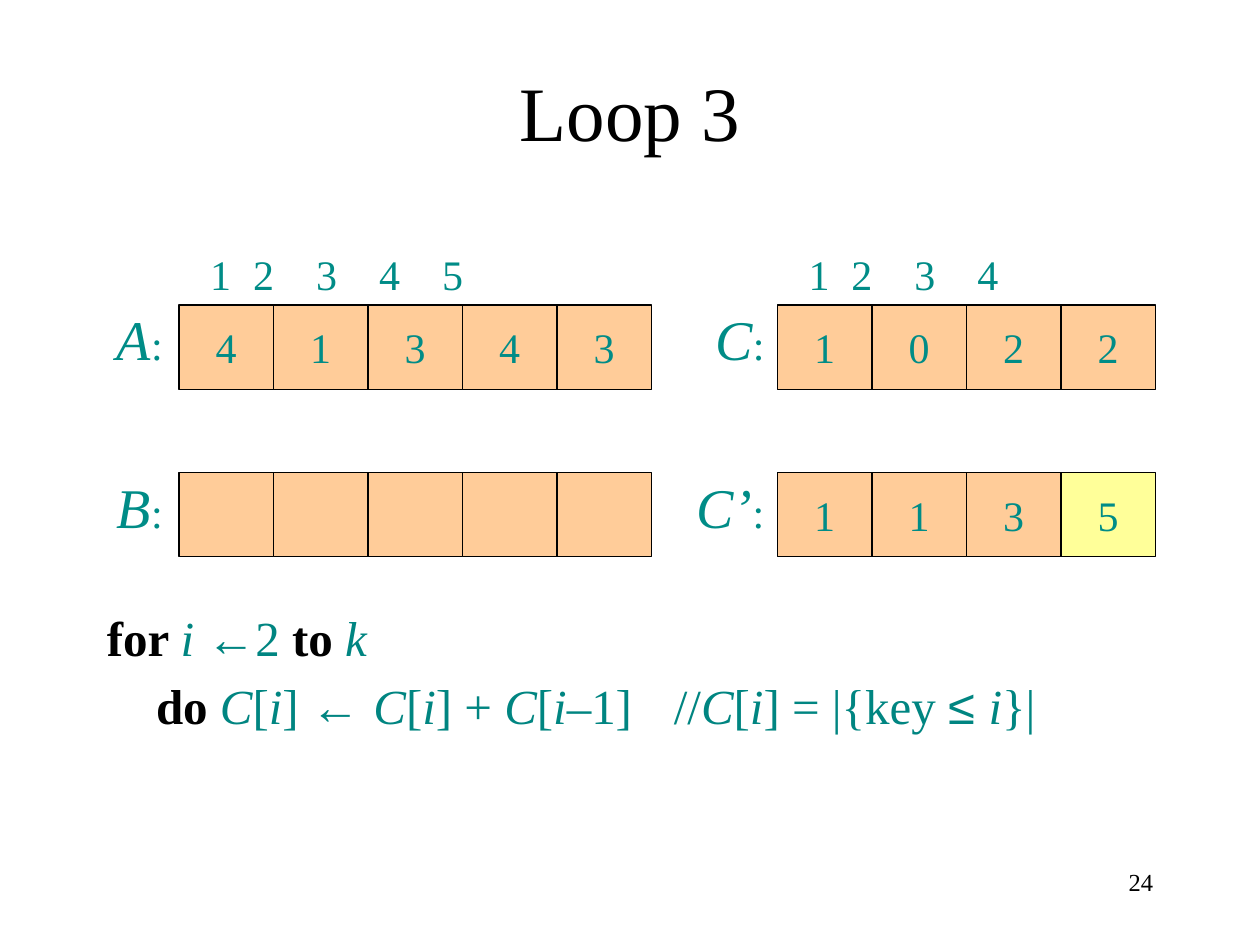
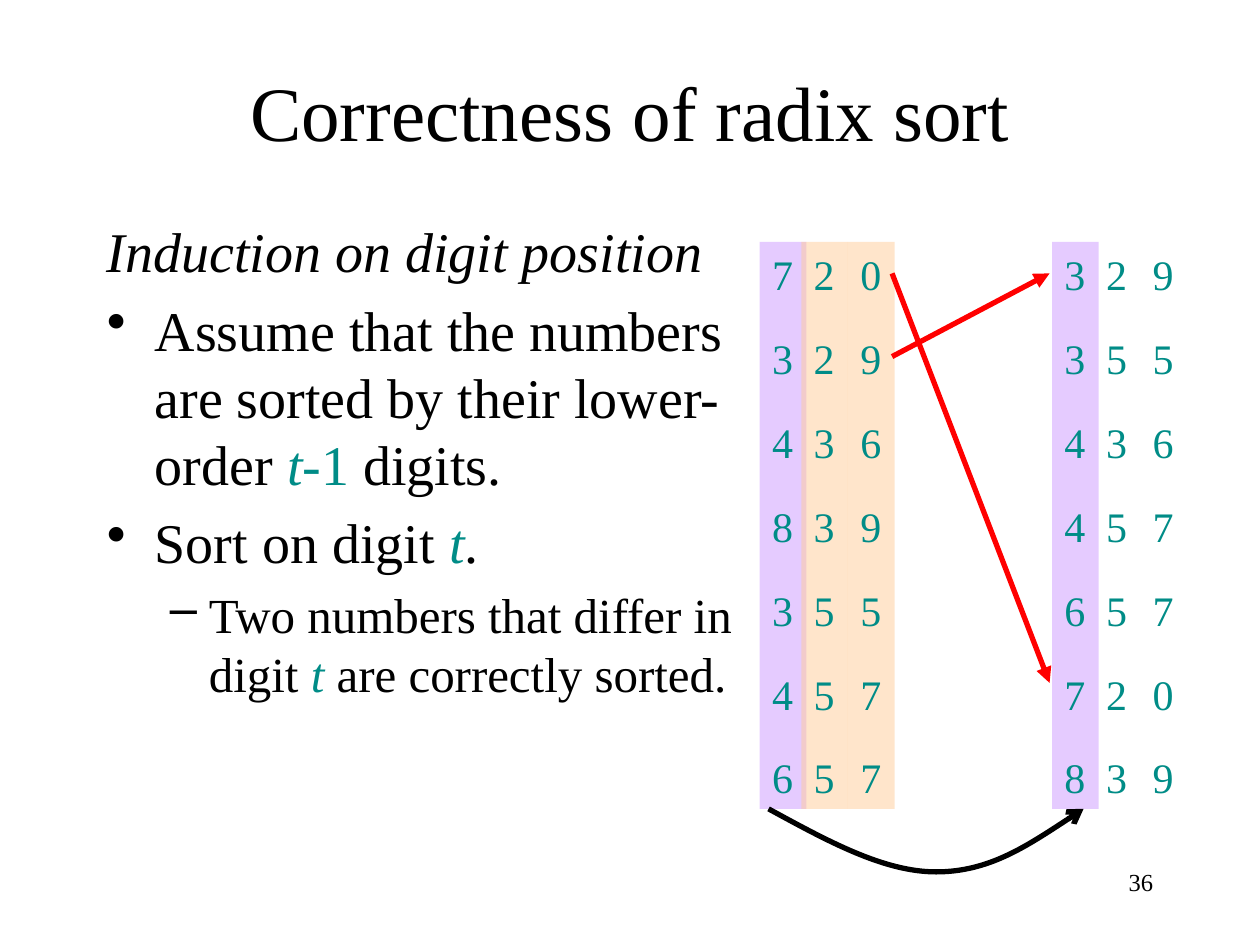
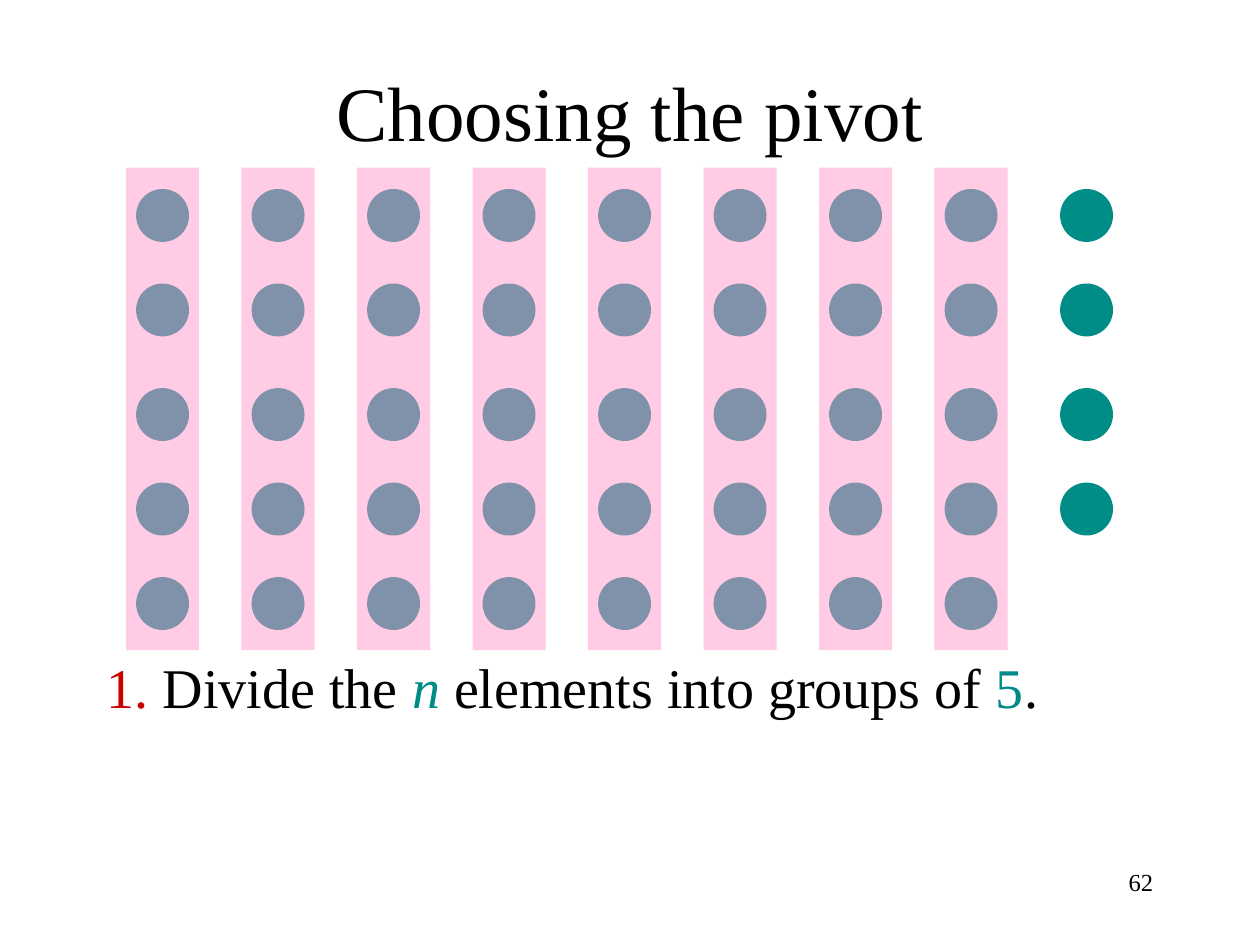
"""Build three lecture slides on counting sort, radix sort and pivot choice."""
from lxml.etree import SubElement
from pptx import Presentation
from pptx.dml.color import RGBColor
from pptx.enum.shapes import MSO_CONNECTOR as Link, MSO_SHAPE as Preset
from pptx.enum.text import MSO_ANCHOR as Anchor, PP_ALIGN as Align
from pptx.oxml.ns import qn
from pptx.util import Inches, Pt

BLACK = RGBColor(0x00, 0x00, 0x00)
TEAL = RGBColor(0x00, 0x8C, 0x87)
CODE_TEAL = RGBColor(0x00, 0x85, 0x81)
STEP_TEAL = RGBColor(0x00, 0x8B, 0x88)
STEP_RED = RGBColor(0xCD, 0x00, 0x00)
ARROW_RED = RGBColor(0xFF, 0x00, 0x00)
PEACH = RGBColor(0xFF, 0xCC, 0x99)
YELLOW = RGBColor(0xFF, 0xFF, 0x99)
VIOLET = RGBColor(0xCC, 0x99, 0xFF)
PINK = RGBColor(0xFF, 0x99, 0xCC)

SERIF = "Times New Roman"
SYMBOL = "Arial"
CELL_WIDTH, CELL_HEIGHT = 0.75, 0.67


class Deck:
    """Hold the shared style and the current slide."""

    def __init__(self):
        self.prs = Presentation()
        self.prs.slide_width, self.prs.slide_height = Inches(10), Inches(7.5)
        self.slide = None

    def start(self, heading, number):
        """Add a slide with its title and page number."""
        self.slide = self.prs.slides.add_slide(self.prs.slide_layouts[5])
        title = self.slide.shapes.title
        title.left, title.top = Inches(0.75), Inches(0.25)
        title.width, title.height = Inches(8.5), Inches(1.25)
        title.text_frame.vertical_anchor = Anchor.MIDDLE
        self.typeset(title.text_frame.paragraphs[0], heading, 44, align=Align.CENTER)
        page = self.text(7.17, 6.83, 2.08, 0.5)
        self.typeset(page.paragraphs[0], str(number), 14, align=Align.RIGHT)

    def typeset(self, paragraph, content, size, color=BLACK, align=Align.LEFT,
                margin=0, indent=0, bullet=None, tabs=(), before=0):
        """Fill a paragraph with a string or with (text, colour, style) runs."""
        properties = paragraph._p.get_or_add_pPr()
        properties.set("marL", str(Inches(margin)))
        properties.set("indent", str(Inches(indent)))
        if bullet:
            SubElement(properties, qn("a:buChar"), char=bullet)
        if tabs:
            stops = SubElement(properties, qn("a:tabLst"))
            for stop in tabs:
                SubElement(stops, qn("a:tab"), pos=str(Inches(stop)), algn="l")
        paragraph.alignment = align
        if before:
            paragraph.space_before = Pt(before)
        paragraph.font.size = Pt(size)
        paragraph.font.name = SERIF
        if isinstance(content, str):
            paragraph.font.color.rgb = color
            paragraph.add_run().text = content
            return
        for words, run_color, style in content:
            run = paragraph.add_run()
            run.text = words
            run.font.color.rgb = run_color
            if "b" in style:
                run.font.bold = True
            if "i" in style:
                run.font.italic = True
            if "s" in style:
                run.font.name = SYMBOL
            if "-" in style:
                run.font.size = Pt(24)

    def text(self, left, top, width, height, wrap=True):
        """Add a text box and return its text frame."""
        box = self.slide.shapes.add_textbox(
            Inches(left), Inches(top), Inches(width), Inches(height))
        box.text_frame.word_wrap = wrap
        return box.text_frame

    def shape(self, preset, left, top, width, height, fill, outlined=False, opacity=None):
        """Add a filled preset shape and return its text frame."""
        figure = self.slide.shapes.add_shape(
            preset, Inches(left), Inches(top), Inches(width), Inches(height))
        figure.shadow.inherit = False
        figure.fill.solid()
        figure.fill.fore_color.rgb = fill
        if opacity:
            color = figure._element.spPr.find(qn("a:solidFill"))[0]
            SubElement(color, qn("a:alpha"), val=str(opacity * 1000))
        if outlined:
            figure.line.color.rgb = BLACK
            figure.line.width = Pt(0.75)
        else:
            figure.line.fill.background()
        figure.text_frame.word_wrap = False
        return figure.text_frame

    def array(self, name, label_left, left, top, values, indexed=False, fills=None):
        """Draw a named row of cells, with index numbers if asked."""
        for position, value in enumerate(values):
            fill = (fills or {}).get(position, PEACH)
            cell = self.shape(Preset.RECTANGLE, left + position * CELL_WIDTH, top,
                              CELL_WIDTH, CELL_HEIGHT, fill, outlined=True)
            cell.vertical_anchor = Anchor.MIDDLE
            if value:
                self.typeset(cell.paragraphs[0], value, 24, TEAL, Align.CENTER)
        label = self.text(label_left, top - 0.05, left - label_left, 0.63, wrap=False)
        self.typeset(label.paragraphs[0], [(name, TEAL, "i"), (":", TEAL, "-")], 32)
        if indexed:
            count = len(values)
            indices = self.text(left - 0.01, top - 0.5, count * CELL_WIDTH, 0.5)
            self.typeset(indices.paragraphs[0],
                         "\t".join(str(n + 1) for n in range(count)), 24, TEAL, indent=0.16,
                         tabs=[0.16 + n * CELL_WIDTH for n in range(1, count)])

    def digits(self, left, column, fill=None):
        """Draw one column of digits, on a translucent band if a fill is given."""
        area = (left, 1.92, 0.37, 4.5)
        if fill:
            frame = self.shape(Preset.RECTANGLE, *area, fill, opacity=50)
            frame.vertical_anchor = Anchor.TOP
        else:
            frame = self.text(*area, wrap=False)
        for row, digit in enumerate(column):
            paragraph = frame.add_paragraph() if row else frame.paragraphs[0]
            self.typeset(paragraph, digit, 24, TEAL, before=19.2 if row else 0)

    def stroke(self, figure, color, head):
        """Style a line with an arrowhead at its end."""
        figure.line.color.rgb = color
        figure.line.width = Pt(3)
        outline = figure._element.spPr.find(qn("a:ln"))
        SubElement(outline, qn("a:tailEnd"), type=head)

    def arrow(self, start, end):
        """Draw a straight red arrow."""
        ends = [Inches(length) for length in (*start, *end)]
        line = self.slide.shapes.add_connector(Link.STRAIGHT, *ends)
        self.stroke(line, ARROW_RED, "triangle")
        SubElement(line._element.spPr, qn("a:effectLst"))

    def curve(self, start, controls):
        """Draw a curved arrow through cubic segments of three points each."""
        points = [(Inches(x), Inches(y)) for x, y in controls]
        builder = self.slide.shapes.build_freeform(Inches(start[0]), Inches(start[1]))
        builder.add_line_segments(points, close=False)
        bend = builder.convert_to_shape()
        bend.shadow.inherit = False
        bend.fill.background()
        outline = next(bend._element.iter(qn("a:path")))
        segments = outline.findall(qn("a:lnTo"))
        for first in range(0, len(segments), 3):
            cubic = SubElement(outline, qn("a:cubicBezTo"))
            for segment in segments[first:first + 3]:
                cubic.append(segment[0])
                outline.remove(segment)
        self.stroke(bend, BLACK, "arrow")


def counting_loop(deck):
    """Show the third loop of counting sort."""
    deck.start("Loop 3", 24)
    code = deck.text(0.75, 4.77, 8.5, 1.3)
    deck.typeset(code.paragraphs[0], [
        ("for ", BLACK, "b"), ("i ", CODE_TEAL, "i"), ("←", CODE_TEAL, "s"),
        ("2 ", CODE_TEAL, ""), ("to ", BLACK, "b"), ("k", CODE_TEAL, "i")], 28)
    body = [("C", "i"), ("[", ""), ("i", "i"), ("] ", ""), ("← ", "s"), ("C", "i"),
            ("[", ""), ("i", "i"), ("] + ", ""), ("C", "i"), ("[", ""), ("i", "i"),
            ("–1]\t//", ""), ("C", "i"), ("[", ""), ("i", "i"), ("] = |{key ", ""),
            ("≤ ", "s"), ("i", "i"), ("}|", "")]
    deck.typeset(code.add_paragraph(),
                 [("do ", BLACK, "b")] + [(words, CODE_TEAL, style) for words, style in body],
                 28, indent=0.39, tabs=[5.33], before=5.6)
    deck.array("B", 0.83, 1.42, 3.75, [""] * 5)
    deck.array("A", 0.83, 1.42, 2.42, "41343", indexed=True)
    deck.array("C", 5.58, 6.17, 2.42, "1022", indexed=True)
    deck.array("C’", 5.43, 6.17, 3.75, "1135", fills={3: YELLOW})


def radix_correctness(deck):
    """Show why a stable sort on the leading digit is correct."""
    deck.start("Correctness of radix sort", 36)
    proof = deck.text(0.75, 1.67, 5.33, 5)
    deck.typeset(proof.paragraphs[0], [("Induction on digit position", BLACK, "i")], 32)
    points = [
        [("Assume that the numbers are sorted by their lower-order ", BLACK, ""),
         ("t", TEAL, "i"), ("-1", TEAL, ""), (" digits.", BLACK, "")],
        [("Sort on digit ", BLACK, ""), ("t", TEAL, "i"), (".", BLACK, "")]]
    for point in points:
        deck.typeset(proof.add_paragraph(), point, 32, margin=0.38, indent=-0.38,
                     bullet="•", before=6.4)
    detail = proof.add_paragraph()
    detail.level = 1
    deck.typeset(detail, [("Two numbers that differ in digit ", BLACK, ""), ("t", TEAL, "i"),
                          (" are correctly sorted.", BLACK, "")],
                 28, margin=0.81, indent=-0.31, bullet="–", before=5.6)

    numbers = ["720", "329", "436", "839", "355", "457", "657"]
    ordered = sorted(numbers, key=lambda number: number[0])
    sides = [(6.03, numbers, (VIOLET, PEACH, PEACH)), (8.35, ordered, (VIOLET, None, None))]
    for left, rows, fills in sides:
        for offset, column, fill in zip((0, 0.33, 0.7), zip(*rows), fills):
            deck.digits(left + offset, column, fill)
    deck.curve((6.1, 6.42), [(6.56, 6.67), (7.01, 6.92), (7.43, 6.92),
                             (7.85, 6.92), (8.22, 6.67), (8.6, 6.42)])
    deck.arrow((7.08, 2.83), (8.33, 2.17))
    deck.arrow((7.08, 2.17), (8.33, 5.42))


def pivot_choice(deck):
    """Show the elements divided into groups of five."""
    deck.start("Choosing the pivot", 62)
    step = deck.text(0.75, 5.13, 8.5, 0.7)
    deck.typeset(step.paragraphs[0], [
        ("1. ", STEP_RED, ""), ("Divide the ", BLACK, ""), ("n ", STEP_TEAL, "i"),
        ("elements into groups of ", BLACK, ""), ("5", STEP_TEAL, ""), (".", BLACK, "")], 32)
    full_groups, pitch = 8, 11 / 12
    element_tops = (1.5, 2.25, 3.08, 3.83, 4.58)
    for group in range(full_groups + 1):
        members = element_tops if group < full_groups else element_tops[:4]
        for top in members:
            deck.shape(Preset.OVAL, 1.08 + group * pitch, top, 0.42, 0.42, TEAL)
    for group in range(full_groups):
        deck.shape(Preset.RECTANGLE, 1 + group * pitch, 1.33, 0.58, 3.83, PINK, opacity=50)


def main():
    """Build the slides and save them."""
    deck = Deck()
    counting_loop(deck)
    radix_correctness(deck)
    pivot_choice(deck)
    deck.prs.save("out.pptx")


if __name__ == "__main__":
    main()
